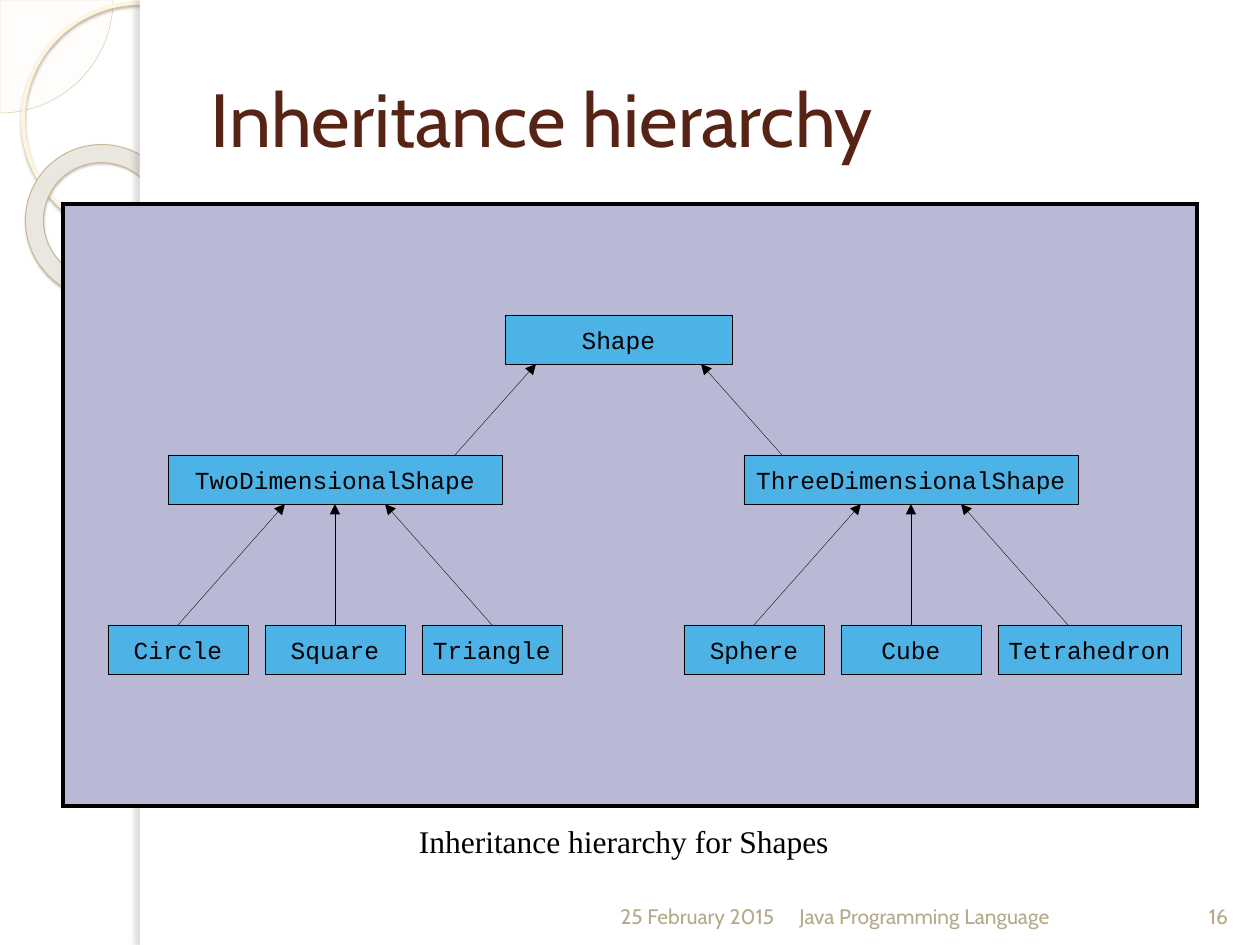
from dataclasses import dataclass
from typing import Optional

from lxml.etree import SubElement
from pptx import Presentation
from pptx.dml.color import RGBColor
from pptx.enum.shapes import MSO_CONNECTOR as CONN, MSO_SHAPE as SHAPE
from pptx.enum.text import MSO_ANCHOR as ANCHOR, MSO_AUTO_SIZE as AUTO, PP_ALIGN as ALIGN
from pptx.oxml.ns import qn
from pptx.util import Emu, Pt

EMU_PER_PX = 914400 / 126
BOX_H, LEAF_W, PITCH, TIP_GAP = 49, 140, 157, 50
PARENT_Y, LEAF_Y = 455, 625
MONO, SANS, SERIF = "Courier New", "Cabin", "Times New Roman"


@dataclass
class Box:
    """A class box in the hierarchy, in px."""
    text: str
    x: int
    y: int
    w: int

    @property
    def mid(self) -> int:
        return self.x + self.w // 2


@dataclass
class Shadow:
    """An outer shadow: px lengths, percent opacity, degrees."""
    color: str
    alpha: int
    blur: int
    dist: int
    angle: int


@dataclass
class Decor:
    """A background shape, in px."""
    kind: SHAPE
    x: int
    y: int
    w: int
    h: int
    fill: Optional[str] = None
    alpha: int = 100
    line: Optional[str] = None
    width: float = 0
    adj: tuple = ()
    rot: float = 0
    shadow: Optional[Shadow] = None


@dataclass
class Label:
    """A line of free text, in px."""
    text: str
    x: int
    y: int
    w: int
    h: int
    size: int
    font: str
    color: str
    align: ALIGN
    anchor: ANCHOR


DECOR = [
    Decor(SHAPE.PIE, -113, -113, 226, 226, "FEFAF4", 33, "D3C39F", 0.25, (0, 54)),
    Decor(SHAPE.OVAL, 23, 3, 234, 234, line="FFF5DE", width=2.15,
          shadow=Shadow("B0A68F", 85, 3, 3, 90)),
    Decor(SHAPE.DONUT, 25, 145, 155, 153, "EDEBE4", 90, "C7B893", 0.58, (0.118,), 38.6,
          Shadow("5A5444", 35, 2, 2, 75)),
    Decor(SHAPE.RECTANGLE, 140, 0, 1120, 945, "FFFFFF"),
    Decor(SHAPE.RECTANGLE, 140, 0, 10, 945, "FFFFFF",
          shadow=Shadow("736F63", 25, 5, 5, 180)),
]
LABELS = [
    Label("25 February 2015", 494, 869, 293, 66, 12, SANS, "B6A98A", ALIGN.RIGHT, ANCHOR.BOTTOM),
    Label("Java Programming Language", 787, 869, 400, 66, 12, SANS, "B6A98A", ALIGN.LEFT,
          ANCHOR.BOTTOM),
    Label("16", 1187, 869, 63, 66, 12, SANS, "B6A98A", ALIGN.CENTER, ANCHOR.BOTTOM),
    Label("Inheritance hierarchy for Shapes", 137, 816, 974, 50, 18, SERIF, "000000",
          ALIGN.CENTER, ANCHOR.TOP),
]
ROOT = Box("Shape", 505, 315, 227)
FAMILIES = [
    (Box("TwoDimensionalShape", 168, PARENT_Y, 334), (455, 536),
     ("Circle", "Square", "Triangle")),
    (Box("ThreeDimensionalShape", 744, PARENT_Y, 334), (782, 701),
     ("Sphere", "Cube", "Tetrahedron")),
]
WIDE_LEAVES = {"Tetrahedron": 183}


def px(*values: int) -> list:
    return [Emu(round(v * EMU_PER_PX)) for v in values]


def rgb(color: str) -> RGBColor:
    return RGBColor.from_string(color)


def write(tf, text: str, *, size: int, font: str, color: str = "000000",
          align=ALIGN.CENTER, anchor=ANCHOR.MIDDLE, inset: Optional[int] = None,
          wrap: bool = True) -> None:
    tf.auto_size, tf.word_wrap, tf.vertical_anchor = AUTO.NONE, wrap, anchor
    if inset is not None:
        tf.margin_left = tf.margin_right = tf.margin_top = tf.margin_bottom = px(inset)[0]
    p = tf.paragraphs[0]
    p.alignment = align
    r = p.add_run()
    r.text = text
    r.font.size, r.font.name = Pt(size), font
    r.font.color.rgb = rgb(color)


def add_decor(s, d: Decor) -> None:
    sp = s.shapes.add_shape(d.kind, *px(d.x, d.y, d.w, d.h))
    sp.shadow.inherit = False
    sp.rotation = d.rot
    for i, value in enumerate(d.adj):
        sp.adjustments[i] = value
    if d.fill:
        sp.fill.solid()
        sp.fill.fore_color.rgb = rgb(d.fill)
        clr = sp.element.spPr.find(qn("a:solidFill"))[0]
        SubElement(clr, qn("a:alpha"), val=str(d.alpha * 1000))
    else:
        sp.fill.background()
    if d.line:
        sp.line.color.rgb, sp.line.width = rgb(d.line), Pt(d.width)
    else:
        sp.line.fill.background()
    if d.shadow:
        blur, dist = px(d.shadow.blur, d.shadow.dist)
        effects = sp.element.spPr.find(qn("a:effectLst"))
        shd = SubElement(effects, qn("a:outerShdw"), blurRad=str(blur), dist=str(dist),
                         dir=str(d.shadow.angle * 60000), algn="ctr", rotWithShape="0")
        clr = SubElement(shd, qn("a:srgbClr"), val=d.shadow.color)
        SubElement(clr, qn("a:alpha"), val=str(d.shadow.alpha * 1000))


def add_panel(s) -> None:
    tbl = s.shapes.add_table(1, 1, *px(63, 204, 1134, 602)).table
    tbl.first_row = tbl.horz_banding = False
    cell = tbl.cell(0, 0)
    tc_pr = cell._tc.get_or_add_tcPr()
    for side in ("lnL", "lnR", "lnT", "lnB"):
        ln = SubElement(tc_pr, qn(f"a:{side}"), w=str(Pt(2.25)))
        SubElement(SubElement(ln, qn("a:solidFill")), qn("a:srgbClr"), val="000000")
    cell.fill.solid()
    cell.fill.fore_color.rgb = rgb("B9B9D5")


def add_box(s, b: Box):
    sp = s.shapes.add_shape(SHAPE.RECTANGLE, *px(b.x, b.y, b.w, BOX_H))
    sp.shadow.inherit = False
    sp.fill.solid()
    sp.fill.fore_color.rgb = rgb("4DB3E6")
    sp.line.color.rgb, sp.line.width = rgb("000000"), Pt(0.2)
    write(sp.text_frame, b.text, size=14, font=MONO, inset=0, wrap=False)
    return sp


def add_arrow(s, x1: int, y1: int, x2: int, y2: int, begin=None, end=None) -> None:
    c = s.shapes.add_connector(CONN.STRAIGHT, *px(x1, y1, x2, y2))
    if begin is not None:
        c.begin_connect(begin, 0)
    if end is not None:
        c.end_connect(end, 2)
    c.line.color.rgb, c.line.width = rgb("000000"), Pt(0.2)
    SubElement(c.line._get_or_add_ln(), qn("a:tailEnd"), type="triangle")
    SubElement(c.element.spPr, qn("a:effectLst"))


def add_family(s, parent: Box, link: tuple, names: tuple) -> None:
    parent_sp = add_box(s, parent)
    add_arrow(s, link[0], parent.y, link[1], ROOT.y + BOX_H)
    for i, name in enumerate(names, -1):
        x = parent.mid + i * PITCH
        leaf = Box(name, x - LEAF_W // 2, LEAF_Y, WIDE_LEAVES.get(name, LEAF_W))
        leaf_sp = add_box(s, leaf)
        add_arrow(s, x, leaf.y, parent.mid + i * TIP_GAP, parent.y + BOX_H,
                  begin=leaf_sp if leaf.mid == x else None,
                  end=parent_sp if i == 0 else None)


def main() -> None:
    """Build the inheritance hierarchy slide."""
    prs = Presentation()
    prs.slide_width, prs.slide_height = px(1260, 945)
    s = prs.slides.add_slide(prs.slide_layouts[5])
    for d in DECOR:
        add_decor(s, d)
    title = s.shapes.title
    title.element.getparent().append(title.element)
    title.left, title.top, title.width, title.height = px(198, 38, 1033, 158)
    write(title.text_frame, "Inheritance hierarchy", size=43, font=SANS, color="572314",
          align=ALIGN.LEFT)
    add_panel(s)
    for lb in LABELS:
        tb = s.shapes.add_textbox(*px(lb.x, lb.y, lb.w, lb.h))
        write(tb.text_frame, lb.text, size=lb.size, font=lb.font, color=lb.color,
              align=lb.align, anchor=lb.anchor)
    add_box(s, ROOT)
    for family in FAMILIES:
        add_family(s, *family)
    prs.save("out.pptx")


if __name__ == "__main__":
    main()
